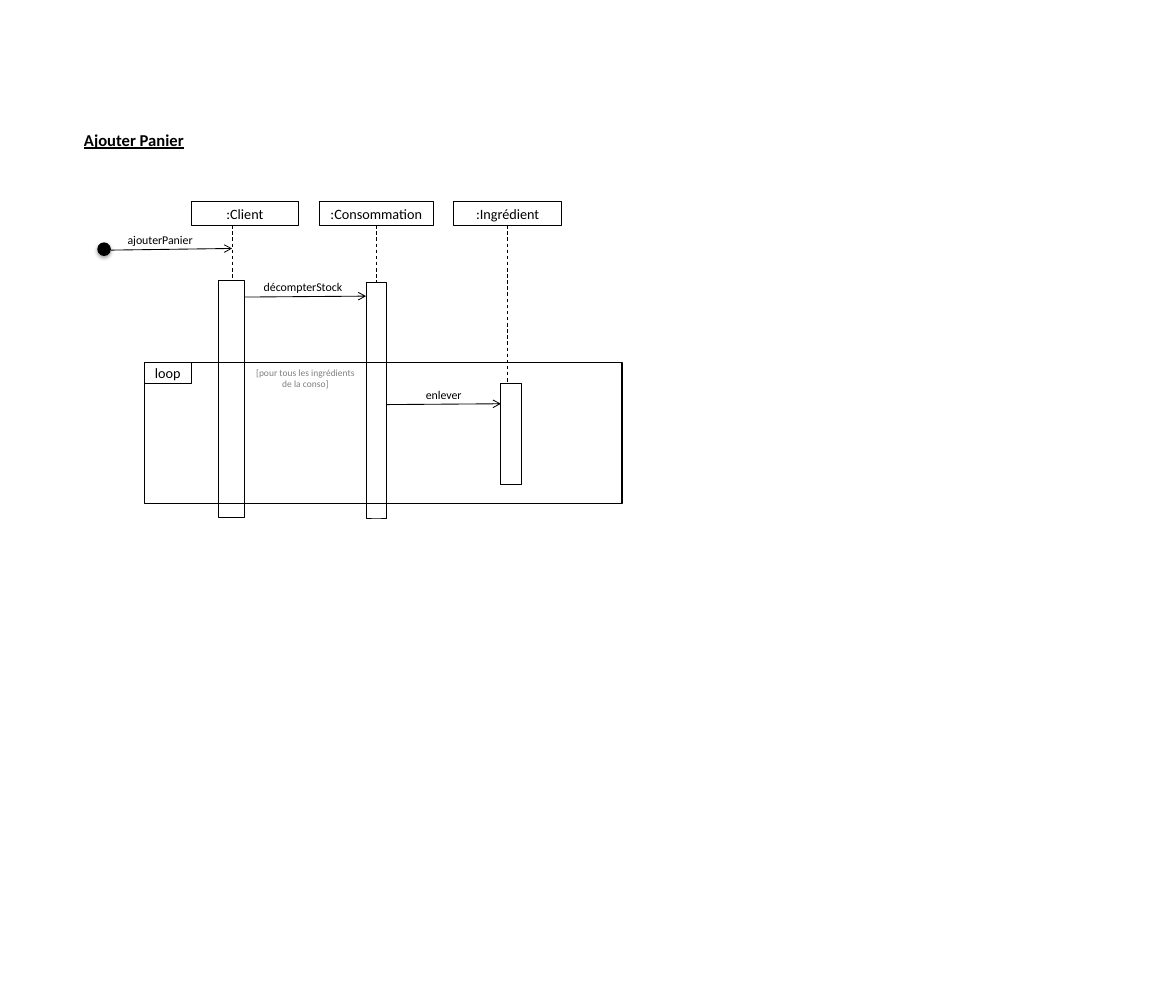
from dataclasses import dataclass
from lxml.etree import SubElement
from pptx import Presentation
from pptx.dml.color import RGBColor
from pptx.enum.dml import MSO_LINE
from pptx.enum.shapes import MSO_CONNECTOR, MSO_SHAPE
from pptx.enum.text import MSO_ANCHOR, MSO_AUTO_SIZE, PP_ALIGN
from pptx.oxml.ns import qn
from pptx.util import Pt


@dataclass(frozen=True)
class Theme:
    font: str = "Calibri"
    ink: RGBColor = RGBColor(0, 0, 0)
    paper: RGBColor = RGBColor(255, 255, 255)
    muted: RGBColor = RGBColor(128, 128, 128)
    title_size: float = 14
    object_size: float = 12
    message_size: float = 10
    guard_size: float = 8
    thin: float = 0.75
    frame: float = 1


theme = Theme()

TITLE = ("Ajouter Panier", (31, 105.8, 164, 24.5))
HEADER_TOP, HEADER_HEIGHT = 170, 20
PARTICIPANTS = [
    dict(name=":Client", left=161.3, width=90.7, axis=195.8, line_end=414,
         bar=(184.3, 236.9, 22.3, 199.4)),
    dict(name=":Consommation", left=269.3, width=96.5, axis=317.5, line_end=436,
         bar=(308.9, 238.3, 17.3, 198.7)),
    dict(name=":Ingrédient", left=383, width=90.7, axis=428.4, line_end=346,
         bar=(422.6, 323.3, 17.3, 85)),
]
MESSAGES = [
    ("ajouterPanier", (93.6, 211, 195.8, 209.6), (99.4, 193, 71.3, 19.4)),
    ("décompterStock", (206.6, 250.6, 308.9, 249.8), (201.6, 232.6, 108, 19.4)),
    ("enlever", (326.2, 341.3, 422.6, 340.6), (320.4, 323.3, 108, 19.4)),
]
START_DOT = (82.1, 204.5, 11.5, 11.5)
LOOP_FRAME = (121.7, 306, 403.2, 118.8)
LOOP_TAG = ("loop", (*LOOP_FRAME[:2], 39.6, 17.3))
LOOP_GUARD = ("[pour tous les ingrédients de la conso]", (206.6, 306, 102.2, 26.6))

presentation = Presentation()
presentation.slide_width, presentation.slide_height = Pt(992.2), Pt(850.3)
slide = presentation.slides.add_slide(presentation.slide_layouts[5])


def points(values):
    return [Pt(value) for value in values]


def write(shape, text, size, color=theme.ink, anchor=MSO_ANCHOR.MIDDLE):
    frame = shape.text_frame
    frame.text = text
    frame.word_wrap = True
    frame.auto_size = MSO_AUTO_SIZE.NONE
    frame.vertical_anchor = anchor
    paragraph = frame.paragraphs[0]
    paragraph.alignment = PP_ALIGN.CENTER
    font = paragraph.runs[0].font
    font.name, font.size, font.color.rgb = theme.font, Pt(size), color
    return font


def add_label(text, box, size, color=theme.ink):
    label = slide.shapes.add_textbox(*points(box))
    write(label, text, size, color, MSO_ANCHOR.TOP)


def add_box(box, fill=None, width=theme.thin, kind=MSO_SHAPE.RECTANGLE):
    shape = slide.shapes.add_shape(kind, *points(box))
    shape.shadow.inherit = False
    if fill is None:
        shape.fill.background()
    else:
        shape.fill.solid()
        shape.fill.fore_color.rgb = fill
    shape.line.color.rgb = theme.ink
    shape.line.width = Pt(width)
    return shape


def add_line(ends, dashed=False, arrow=False):
    connector = slide.shapes.add_connector(MSO_CONNECTOR.STRAIGHT, *points(ends))
    connector.line.color.rgb = theme.ink
    connector.line.width = Pt(theme.thin)
    if dashed:
        connector.line.dash_style = MSO_LINE.DASH
    properties = connector._element.spPr
    if arrow:
        SubElement(properties.find(qn("a:ln")), qn("a:tailEnd"), type="arrow")
    SubElement(properties, qn("a:effectLst"))


def add_start_dot():
    dot = add_box(START_DOT, theme.ink, kind=MSO_SHAPE.OVAL)
    dot.line.fill.background()
    effects = dot._element.spPr.find(qn("a:effectLst"))
    shadow = SubElement(effects, qn("a:outerShdw"), blurRad=str(Pt(3.1)),
                        dist=str(Pt(1.8)), dir="5400000", rotWithShape="0")
    color = SubElement(shadow, qn("a:srgbClr"), val=str(theme.ink))
    SubElement(color, qn("a:alpha"), val="35000")


title = slide.shapes.title
title.left, title.top, title.width, title.height = points(TITLE[1])
title_font = write(title, TITLE[0], theme.title_size, anchor=MSO_ANCHOR.TOP)
title_font.bold = title_font.underline = True

for participant in PARTICIPANTS:
    header = add_box((participant["left"], HEADER_TOP, participant["width"], HEADER_HEIGHT))
    write(header, participant["name"], theme.object_size)
    axis = participant["axis"]
    add_line((axis, HEADER_TOP + HEADER_HEIGHT, axis, participant["line_end"]), dashed=True)
    add_box(participant["bar"], theme.paper)

add_box(LOOP_FRAME, width=theme.frame)
write(add_box(LOOP_TAG[1]), LOOP_TAG[0], theme.object_size)
add_label(*LOOP_GUARD, theme.guard_size, theme.muted)

add_start_dot()
for text, ends, box in MESSAGES:
    add_line(ends, arrow=True)
    add_label(text, box, theme.message_size)

presentation.save("out.pptx")
